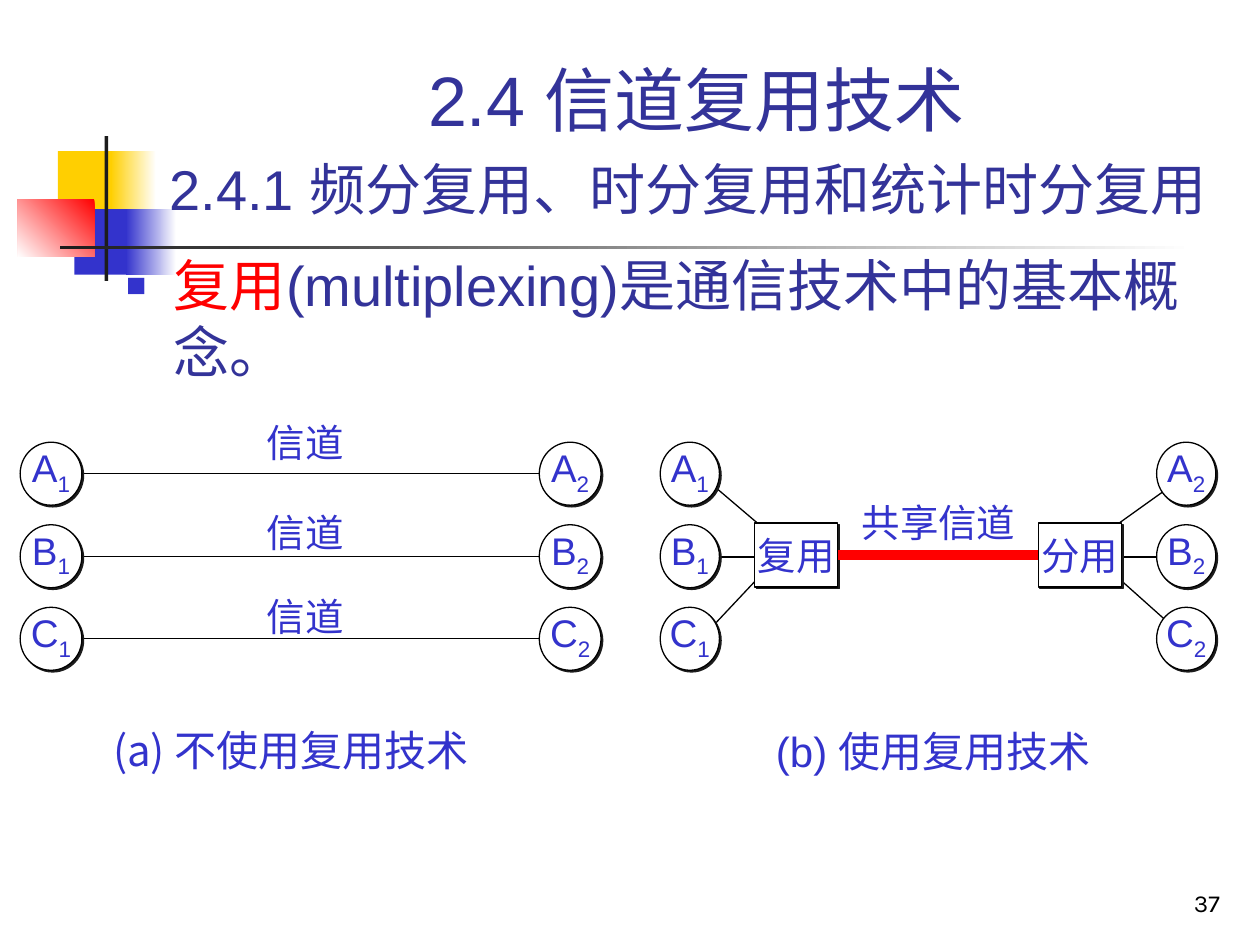
from dataclasses import dataclass
from typing import NamedTuple, Optional

from lxml.etree import SubElement
from pptx import Presentation
from pptx.dml.color import RGBColor
from pptx.enum.shapes import MSO_CONNECTOR, MSO_SHAPE
from pptx.enum.text import MSO_ANCHOR, MSO_AUTO_SIZE, PP_ALIGN
from pptx.oxml.ns import qn
from pptx.util import Inches, Pt

CELL = Inches(0.1)  # the page is a grid of 100 columns by 75 rows
FIRST_ROW, ROW_STEP, NODE_ROWS = 35.1, 6.55, 5


@dataclass(frozen=True)
class Theme:
    heading: str = "333399"
    label: str = "3333CC"
    accent: str = "FF0000"
    yellow: str = "FFCF01"
    dark: str = "1C1C1C"
    black: str = "000000"
    white: str = "FFFFFF"
    latin: str = "Arial"
    chinese: str = "Noto Sans CJK SC"
    number: str = "Karla"
    title_size: float = 40
    body_size: float = 32
    caption_size: float = 24
    label_size: float = 22
    number_size: float = 14
    leading: float = 1.2
    thin: float = 0.75
    thick: float = 6


THEME = Theme()


class Area(NamedTuple):
    col: float
    row: float
    cols: float
    rows: float

    def lengths(self) -> list[int]:
        return [round(value * CELL) for value in self]


class Span(NamedTuple):
    text: str
    size: float = THEME.label_size
    color: str = THEME.label
    font: str = THEME.latin
    subscript: bool = False


class Ornament(NamedTuple):
    area: Area
    start: str
    end: Optional[str] = None
    angle: float = 180


class Side(NamedTuple):
    index: str
    node_col: float
    node_cols: float


def rgb(color: str) -> RGBColor:
    return RGBColor.from_string(color)


def place(shape, area: Area) -> None:
    shape.left, shape.top, shape.width, shape.height = area.lengths()


def add_span(para, span: Span) -> None:
    run = para.add_run()
    run.text = span.text
    run.font.size = Pt(span.size)
    run.font.name = span.font
    run.font.color.rgb = rgb(span.color)
    properties = run.font._element
    SubElement(properties, qn("a:ea"), typeface=THEME.chinese)
    if span.subscript:
        properties.set("baseline", "-25000")


def write(shape, spans: list[Span], align=PP_ALIGN.LEFT, anchor=MSO_ANCHOR.TOP, wrap=False):
    frame = shape.text_frame
    frame.auto_size = MSO_AUTO_SIZE.NONE
    frame.word_wrap = wrap
    frame.vertical_anchor = anchor
    para = frame.paragraphs[0]
    para.alignment = align
    para.space_before = Pt(0)
    para.line_spacing = Pt(spans[0].size * THEME.leading)
    for span in spans:
        if span.text == "\n":
            para.add_line_break()
        else:
            add_span(para, span)
    return para


def add_label(page, area: Area, span: Span, **layout) -> None:
    write(page.shapes.add_textbox(*area.lengths()), [span], **layout)


def add_ornament(page, ornament: Ornament) -> None:
    shape = page.shapes.add_shape(MSO_SHAPE.RECTANGLE, *ornament.area.lengths())
    shape.shadow.inherit = False
    shape.line.fill.background()
    if ornament.end is None:
        shape.fill.solid()
        shape.fill.fore_color.rgb = rgb(ornament.start)
        return
    shape.fill.gradient()
    shape.fill.gradient_angle = ornament.angle
    for stop, color in zip(shape.fill.gradient_stops, (ornament.start, ornament.end)):
        stop.color.rgb = rgb(color)


def add_node(page, kind: MSO_SHAPE, area: Area, spans: list[Span]):
    node = page.shapes.add_shape(kind, *area.lengths())
    node.fill.solid()
    node.fill.fore_color.rgb = rgb(THEME.white)
    node.line.color.rgb = rgb(THEME.black)
    node.line.width = Pt(THEME.thin)
    node.shadow.inherit = False
    effects = node.element.spPr.find(qn("a:effectLst"))
    shadow = SubElement(effects, qn("a:outerShdw"), dist=str(Pt(1.4)), dir="2700000", algn="ctr")
    SubElement(shadow, qn("a:srgbClr"), val=THEME.dark)
    write(node, spans, PP_ALIGN.CENTER, MSO_ANCHOR.MIDDLE)
    return node


def add_line(page, start=(0, 0), end=(0, 0), color=THEME.black, width=THEME.thin):
    ends = [round(value * CELL) for value in (*start, *end)]
    line = page.shapes.add_connector(MSO_CONNECTOR.STRAIGHT, *ends)
    line.line.color.rgb = rgb(color)
    line.line.width = Pt(width)
    SubElement(line.element.spPr, qn("a:effectLst"))
    return line


def add_stations(page, side: Side) -> None:
    for position, letter in enumerate("ABC"):
        area = Area(side.node_col, FIRST_ROW + position * ROW_STEP, side.node_cols, NODE_ROWS)
        spans = [Span(letter), Span(side.index, subscript=True)]
        add_node(page, MSO_SHAPE.OVAL, area, spans)


def add_ornaments(page) -> None:
    for ornament in (
        Ornament(Area(4.6, 12, 4.8, 5.2), THEME.yellow),
        Ornament(Area(8.8, 12, 3.6, 5.2), THEME.white, THEME.yellow),
        Ornament(Area(5.9, 16.6, 4.6, 5.2), THEME.label),
        Ornament(Area(10, 16.6, 4, 5.2), THEME.white, THEME.label),
        Ornament(Area(1.4, 15.8, 6.1, 4.6), THEME.accent, THEME.white, 225),
        Ornament(Area(8.3, 10.8, 0.3, 11.5), THEME.dark),
        Ornament(Area(4.8, 19.5, 90, 0.3), THEME.white, THEME.dark),
    ):
        add_ornament(page, ornament)


def fill_placeholders(page) -> None:
    title, body = page.shapes.title, page.placeholders[1]
    place(title, Area(9.3, 2.3, 91.9, 16))
    write(title, [
        Span("2.4 信道复用技术", THEME.title_size, THEME.heading),
        Span("\n"),
        Span("2.4.1 频分复用、时分复用和统计时分复用", THEME.body_size, THEME.heading),
        Span(" ", THEME.title_size, THEME.heading),
    ], PP_ALIGN.CENTER, MSO_ANCHOR.BOTTOM, wrap=True)
    place(body, Area(9, 19.4, 87.4, 45))
    para = write(body, [
        Span("复用", THEME.body_size, THEME.accent),
        Span("(multiplexing)是通信技术中的基本概念。", THEME.body_size, THEME.heading),
    ], wrap=True)
    # Square bullet with a hanging indent
    properties = para._p.get_or_add_pPr()
    properties.set("marL", str(Inches(0.38)))
    properties.set("indent", str(-Inches(0.38)))
    SubElement(SubElement(properties, qn("a:buClr")), qn("a:srgbClr"), val=THEME.label)
    SubElement(properties, qn("a:buSzPct"), val="60000")
    SubElement(properties, qn("a:buFont"), typeface=THEME.latin)
    SubElement(properties, qn("a:buChar"), char="■")
    # Keep the text in front of the ornaments
    for holder in (title, body):
        holder.element.getparent().append(holder.element)


def add_separate_channels(page) -> None:
    for position, label_row in enumerate((32.8, 39.9, 46.6)):
        row = FIRST_ROW + NODE_ROWS / 2 + position * ROW_STEP
        add_line(page, (6.5, row), (43.7, row))
        add_label(page, Area(20.2, label_row, 8.1, 4.7), Span("信道", font=THEME.chinese))
    for side in (Side("1", 1.6, 4.9), Side("2", 42.8, 4.9)):
        add_stations(page, side)
    add_label(page, Area(8, 57, 31, 5), Span("(a) 不使用复用技术", THEME.caption_size, font=THEME.chinese))


def add_shared_channel(page) -> None:
    add_line(page, (57, 44.2), (92.7, 44.2))
    for outer, inner in ((56.1, 60.8), (93.6, 88)):
        add_line(page, (outer, 38.1), (inner, 42.1))
        add_line(page, (outer, 50.2), (inner, 45.2))
    for side in (Side("1", 52.4, 4.7), Side("2", 91.8, 4.7)):
        add_stations(page, side)
    mux, demux = (
        add_node(page, MSO_SHAPE.RECTANGLE, Area(col, 41.5, 6.6, 5.1), [Span(name)])
        for col, name in ((59.9, "复用"), (82.4, "分用"))
    )
    channel = add_line(page, color=THEME.accent, width=THEME.thick)
    channel.begin_connect(mux, 3)
    channel.end_connect(demux, 1)
    add_label(page, Area(67.4, 39.1, 14.2, 4.7), Span("共享信道"))
    add_label(page, Area(60.6, 57.1, 27.8, 5), Span("(b) 使用复用技术", THEME.caption_size))


def main() -> None:
    deck = Presentation()
    deck.slide_width, deck.slide_height = 100 * CELL, 75 * CELL
    page = deck.slides.add_slide(deck.slide_layouts[1])
    add_ornaments(page)
    fill_placeholders(page)
    add_separate_channels(page)
    add_shared_channel(page)
    # Page number
    add_label(page, Area(77, 68.3, 20.8, 5), Span("37", THEME.number_size, THEME.black, THEME.number),
              align=PP_ALIGN.RIGHT, anchor=MSO_ANCHOR.BOTTOM, wrap=True)
    deck.save("out.pptx")


if __name__ == "__main__":
    main()
